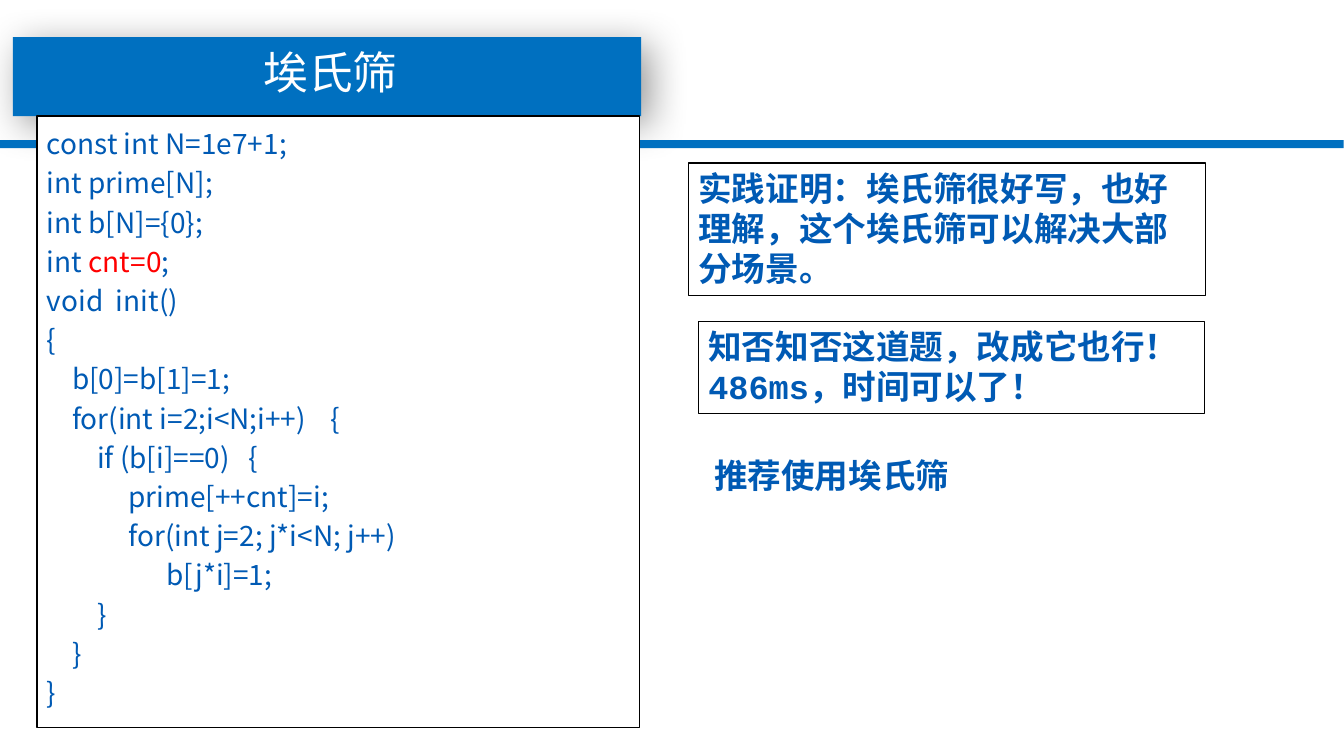
from lxml.etree import SubElement
from pptx import Presentation
from pptx.dml.color import RGBColor
from pptx.enum.shapes import MSO_SHAPE
from pptx.enum.text import MSO_ANCHOR, PP_ALIGN
from pptx.oxml.ns import qn
from pptx.util import Inches, Pt

BLUE = RGBColor(0x00, 0x70, 0xC0)
INK = RGBColor(0x00, 0x5A, 0xB4)
RED = RGBColor(0xFF, 0x00, 0x00)
BLACK = RGBColor(0x00, 0x00, 0x00)
WHITE = RGBColor(0xFF, 0xFF, 0xFF)
MONO, SANS = "Courier New", "Noto Sans CJK SC"

TITLE = "埃氏筛"
CODE = [
    [("const int N=1e7+1;", INK)],
    [("int prime[N];", INK)],
    [("int b[N]={0};", INK)],
    [("int ", INK), ("cnt=0", RED), (";", INK)],
    [("void  init()", INK)],
    [("{", INK)],
    [("    b[0]=b[1]=1;", INK)],
    [("    for(int i=2;i<N;i++)    {", INK)],
    [("        if (b[i]==0)   {", INK)],
    [("             prime[++cnt]=i;", INK)],
    [("             for(int j=2; j*i<N; j++)", INK)],
    [("                   b[j*i]=1;", INK)],
    [("        }", INK)],
    [("    }", INK)],
    [("}", INK)],
]
NOTES = [
    ((688, 163, 517, 132), BLACK, ["实践证明：埃氏筛很好写，也好理解，这个埃氏筛可以解决大部分场景。"]),
    ((698, 321, 506, 92), BLACK, ["知否知否这道题，改成它也行！", "486ms，时间可以了！"]),
    ((704, 450, 500, 50), None, ["推荐使用埃氏筛"]),
]

PX = 914400 / 100.7


def add_rect(slide, box, fill=None, line=None):
    sp = slide.shapes.add_shape(MSO_SHAPE.RECTANGLE, *[round(v * PX) for v in box])
    sp.shadow.inherit = False
    if fill is None:
        sp.fill.background()
    else:
        sp.fill.solid()
        sp.fill.fore_color.rgb = fill
    if line is None:
        sp.line.fill.background()
    else:
        sp.line.color.rgb = line
        sp.line.width = Pt(1)
    return sp


def add_shadow(sp):
    effects = sp._element.spPr.find(qn("a:effectLst"))
    shadow = SubElement(effects, qn("a:outerShdw"), blurRad=str(Pt(28)), dist=str(Pt(8)),
                        dir="2700000", algn="tl", rotWithShape="0")
    color = SubElement(shadow, qn("a:srgbClr"), val="000000")
    SubElement(color, qn("a:alpha"), val="40000")


def write(sp, lines, size, font, bold=False, spacing=None,
          align=PP_ALIGN.LEFT, anchor=MSO_ANCHOR.TOP):
    tf = sp.text_frame
    tf.word_wrap = True
    tf.vertical_anchor = anchor
    for i, runs in enumerate(lines):
        p = tf.paragraphs[0] if i == 0 else tf.add_paragraph()
        p.alignment = align
        if spacing:
            p.line_spacing = Pt(spacing)
        for text, color in runs:
            r = p.add_run()
            r.text = text
            r.font.size = Pt(size)
            r.font.name = font
            r.font.bold = bold
            r.font.color.rgb = color
            SubElement(r.font._element, qn("a:ea"), typeface=SANS)


def main():
    prs = Presentation()
    prs.slide_width, prs.slide_height = Inches(13.34), Inches(7.5)
    slide = prs.slides.add_slide(prs.slide_layouts[6])

    add_shadow(add_rect(slide, (13, 37, 628, 79), BLUE))
    add_rect(slide, (0, 140, 1343, 8), BLUE)

    title = add_rect(slide, (5, 28, 651, 88))
    write(title, [[(TITLE, WHITE)]], 32, MONO,
          align=PP_ALIGN.CENTER, anchor=MSO_ANCHOR.MIDDLE)

    code = add_rect(slide, (37, 116, 602, 611), WHITE, BLACK)
    write(code, CODE, 20, SANS, spacing=28)

    for box, line, lines in NOTES:
        note = add_rect(slide, box, line=line)
        write(note, [[(text, INK)] for text in lines], 24, MONO, bold=True, spacing=28.6)

    prs.save("out.pptx")


if __name__ == "__main__":
    main()
